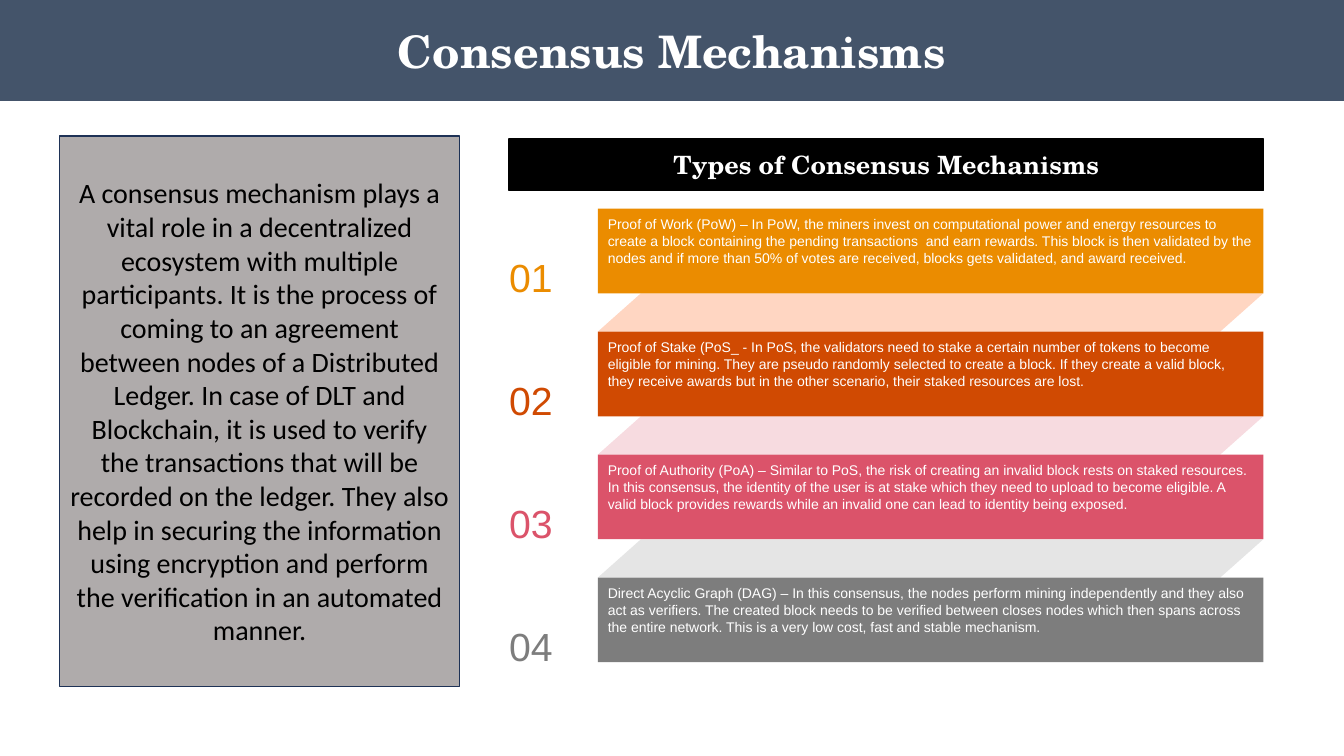
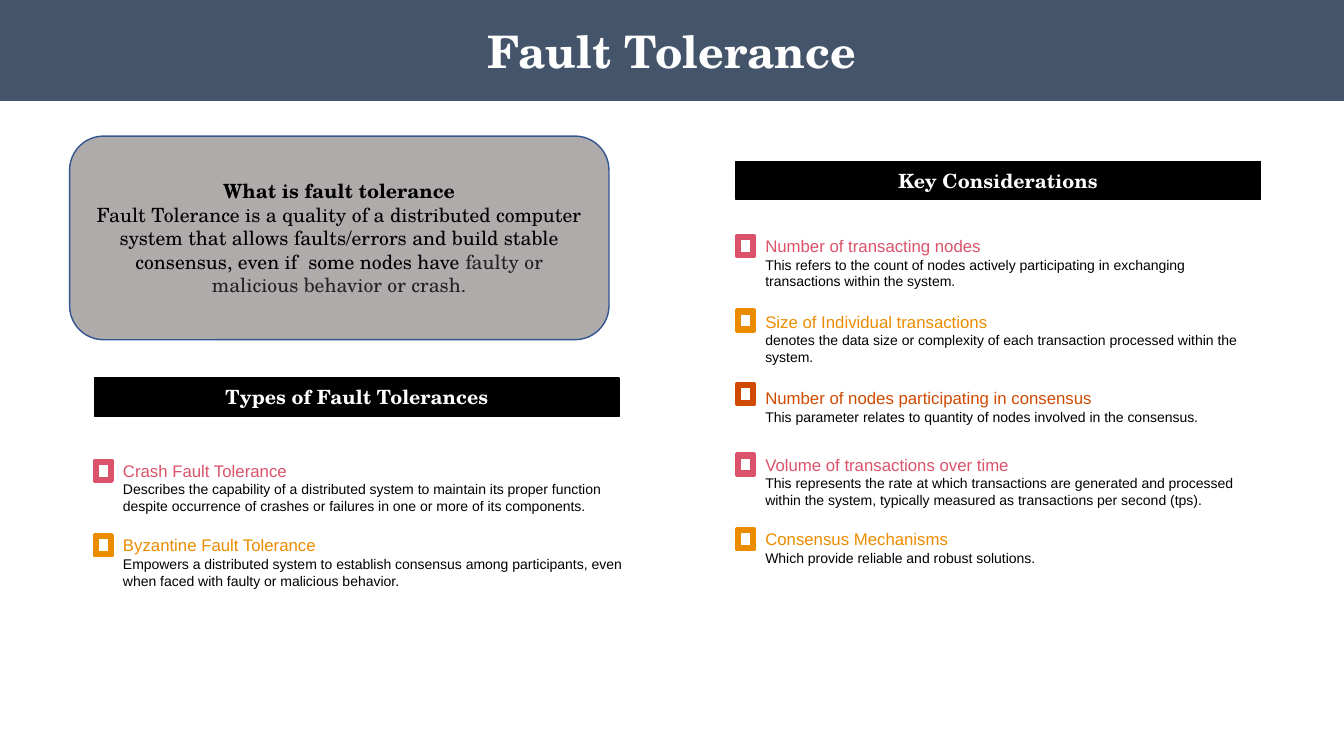
from pptx import Presentation
from pptx import util as u
from pptx.dml.color import RGBColor
from pptx.enum import shapes, text

BAND, PANEL, BLACK, WHITE = "44546A", "AFABAB", "000000", "FFFFFF"
AMBER, ORANGE, ROSE, GRAY = "EB8C00", "D04A02", "DB536A", "7D7D7D"
SERIF, SANS = "TeX Gyre Schola", "Arial"
CENTER, LEFT = text.PP_ALIGN.CENTER, text.PP_ALIGN.LEFT
TOP, MIDDLE, BOTTOM = (
    text.MSO_ANCHOR.TOP,
    text.MSO_ANCHOR.MIDDLE,
    text.MSO_ANCHOR.BOTTOM,
)
RECTANGLE = shapes.MSO_SHAPE.RECTANGLE
DEFAULT_INSETS = (0.1, 0.05, 0.1, 0.05)
NO_INSETS = (0, 0, 0, 0)

TITLE_FONT = {"name": SERIF, "size": u.Pt(32), "bold": True, "color": WHITE}
MECHANISM_FONT = {"name": SANS, "size": u.Pt(10), "color": WHITE}
ITEM_FONT = {"name": SANS, "size": u.Pt(10), "color": BLACK}

INTRODUCTION = (
    "A consensus mechanism plays a vital role in a decentralized ecosystem with "
    "multiple participants. It is the process of coming to an agreement between "
    "nodes of a Distributed Ledger. In case of DLT and Blockchain, it is used to "
    "verify the transactions that will be recorded on the ledger. They also help "
    "in securing the information using encryption and perform the verification "
    "in an automated manner."
)

MECHANISMS = [
    (AMBER, "FFD6C2",
     "Proof of Work (PoW) – In PoW, the miners invest on computational power and "
     "energy resources to create a block containing the pending transactions  and "
     "earn rewards. This block is then validated by the nodes and if more than 50% "
     "of votes are received, blocks gets validated, and award received."),
    (ORANGE, "F7DBE0",
     "Proof of Stake (PoS_ - In PoS, the validators need to stake a certain number "
     "of tokens to become eligible for mining. They are pseudo randomly selected to "
     "create a block. If they create a valid block, they receive awards but in the "
     "other scenario, their staked resources are lost."),
    (ROSE, "E5E5E5",
     "Proof of Authority (PoA) – Similar to PoS, the risk of creating an invalid "
     "block rests on staked resources. In this consensus, the identity of the user "
     "is at stake which they need to upload to become eligible. A valid block "
     "provides rewards while an invalid one can lead to identity being exposed."),
    (GRAY, None,
     "Direct Acyclic Graph (DAG) – In this consensus, the nodes perform mining "
     "independently and they also act as verifiers. The created block needs to be "
     "verified between closes nodes which then spans across the entire network. "
     "This is a very low cost, fast and stable mechanism."),
]

CONSIDERATIONS = [
    (2.34, 2.34, ROSE, "Number of transacting nodes",
     "This refers to the count of nodes actively participating in exchanging "
     "transactions within the system."),
    (3.08, 3.09, AMBER, "Size of Individual transactions",
     "denotes the data size or complexity of each transaction processed within "
     "the system."),
    (3.81, 3.85, ORANGE, "Number of nodes participating in consensus",
     "This parameter relates to quantity of nodes involved in the consensus."),
    (4.51, 4.51, ROSE, "Volume of transactions over time",
     "This represents the rate at which transactions are generated and processed "
     "within the system, typically measured as transactions per second (tps)."),
    (5.25, 5.25, AMBER, "Consensus Mechanisms",
     "Which provide reliable and robust solutions."),
]

FAULT_TYPES = [
    (4.57, 4.57, ROSE, "Crash Fault Tolerance",
     "Describes the capability of a distributed system to maintain its proper "
     "function despite occurrence of crashes or failures in one or more of its "
     "components."),
    (5.31, 5.31, AMBER, "Byzantine Fault Tolerance",
     "Empowers a distributed system to establish consensus among participants, "
     "even when faced with faulty or malicious behavior."),
]


def rgb(value):
    return RGBColor.from_string(value)


def set_attributes(target, values):
    for name, value in values.items():
        setattr(target, name, value)


def set_font(font, style):
    set_attributes(font, {k: v for k, v in style.items() if k != "color"})
    font.color.rgb = rgb(style["color"])


def write_text(shape, paragraphs, align=LEFT, anchor=TOP, insets=DEFAULT_INSETS):
    frame = shape.text_frame
    left, top, right, bottom = map(u.Inches, insets)
    set_attributes(frame, {
        "word_wrap": True,
        "auto_size": text.MSO_AUTO_SIZE.NONE,
        "vertical_anchor": anchor,
        "margin_left": left,
        "margin_top": top,
        "margin_right": right,
        "margin_bottom": bottom,
    })
    for index, runs in enumerate(paragraphs):
        paragraph = frame.add_paragraph() if index else frame.paragraphs[0]
        paragraph.alignment = align
        for content, style in runs:
            run = paragraph.add_run()
            run.text = content
            set_font(run.font, style)


def add_shape(slide, kind, box, fill=None, line=None, width=1, adjustment=None):
    shape = slide.shapes.add_shape(kind, *map(u.Inches, box))
    shape.shadow.inherit = False
    if fill:
        shape.fill.solid()
        shape.fill.fore_color.rgb = rgb(fill)
    else:
        shape.fill.background()
    if line:
        shape.line.color.rgb = rgb(line)
        shape.line.width = u.Pt(width)
    else:
        shape.line.fill.background()
    if adjustment is not None:
        shape.adjustments[0] = adjustment
    return shape


def add_text(slide, box, paragraphs, **layout):
    write_text(slide.shapes.add_textbox(*map(u.Inches, box)), paragraphs, **layout)


def add_titled_slide(presentation, title):
    slide = presentation.slides.add_slide(presentation.slide_layouts[5])
    band = slide.shapes.title
    set_attributes(band, {
        "left": 0,
        "top": 0,
        "width": presentation.slide_width,
        "height": u.Inches(1),
    })
    band.fill.solid()
    band.fill.fore_color.rgb = rgb(BAND)
    write_text(band, [[(title, TITLE_FONT)]], CENTER, MIDDLE, NO_INSETS)
    band.text_frame.paragraphs[0].space_after = u.Pt(6)
    return slide


def add_heading(slide, box, content, size):
    heading = add_shape(slide, RECTANGLE, box, BLACK, BLACK)
    style = {**TITLE_FONT, "size": u.Pt(size)}
    write_text(heading, [[(content, style)]], CENTER, MIDDLE)


def add_mechanisms(slide, left=5.93, top=2.07, width=6.6, height=0.84, gap=0.38):
    for index, (color, fold, content) in enumerate(MECHANISMS):
        y = top + index * (height + gap)
        if fold:
            add_shape(slide, shapes.MSO_SHAPE.PARALLELOGRAM,
                      (left, y + height, width, gap), fold, adjustment=1.125)
        bar = add_shape(slide, RECTANGLE, (left, y, width, height), color)
        write_text(bar, [[(content, MECHANISM_FONT)]],
                   insets=(0.1, 0.07, 0.1, 0.07))
        number_font = {"name": SANS, "size": u.Pt(28), "color": color}
        add_text(slide, (5.05, y + 0.44, 0.84, 0.47),
                 [[(f"{index + 1:02}", number_font)]],
                 anchor=BOTTOM, insets=NO_INSETS)


def add_items(slide, items, left, width):
    for icon_top, text_top, color, heading, description in items:
        add_shape(slide, shapes.MSO_SHAPE.FRAME, (left, icon_top, 0.17, 0.2),
                  line=color, width=3, adjustment=0.125)
        heading_font = {"name": SANS, "size": u.Pt(12), "color": color}
        add_text(slide, (left + 0.28, text_top, width, 0.74),
                 [[(heading, heading_font)], [(description, ITEM_FONT)]],
                 insets=(0, 0, 0, 0.05))


def build_consensus(presentation):
    slide = add_titled_slide(presentation, "Consensus Mechanisms")
    panel = add_shape(slide, RECTANGLE, (0.59, 1.35, 3.97, 5.46), PANEL, "1E3256")
    panel_font = {"name": "Calibri", "size": u.Pt(20), "color": BLACK}
    write_text(panel, [[(INTRODUCTION, panel_font)]], CENTER, MIDDLE)
    add_heading(slide, (5.05, 1.38, 7.48, 0.51), "Types of Consensus Mechanisms", 18)
    add_mechanisms(slide)


def build_fault_tolerance(presentation):
    slide = add_titled_slide(presentation, "Fault Tolerance")
    panel = add_shape(slide, shapes.MSO_SHAPE.ROUNDED_RECTANGLE,
                      (0.69, 1.35, 5.35, 2.02), PANEL, "325491")
    body = {"name": SERIF, "size": u.Pt(14), "color": BLACK}
    write_text(panel, [
        [("What is fault tolerance", {**body, "bold": True})],
        [("Fault Tolerance is a quality of a distributed computer system that "
          "allows faults/errors and build stable consensus, even if  some nodes "
          "have ", body),
         ("faulty or malicious behavior or crash.", {**body, "color": "222222"})],
    ], CENTER, MIDDLE)
    add_heading(slide, (7.3, 1.6, 5.2, 0.38), "Key Considerations", 14)
    add_items(slide, CONSIDERATIONS, 7.31, 4.78)
    add_heading(slide, (0.94, 3.75, 5.2, 0.38), "Types of Fault Tolerances", 14)
    add_items(slide, FAULT_TYPES, 0.94, 5.16)


def main():
    presentation = Presentation()
    presentation.slide_width = u.Inches(13.33)
    presentation.slide_height = u.Inches(7.5)
    build_consensus(presentation)
    build_fault_tolerance(presentation)
    presentation.save("out.pptx")


if __name__ == "__main__":
    main()
